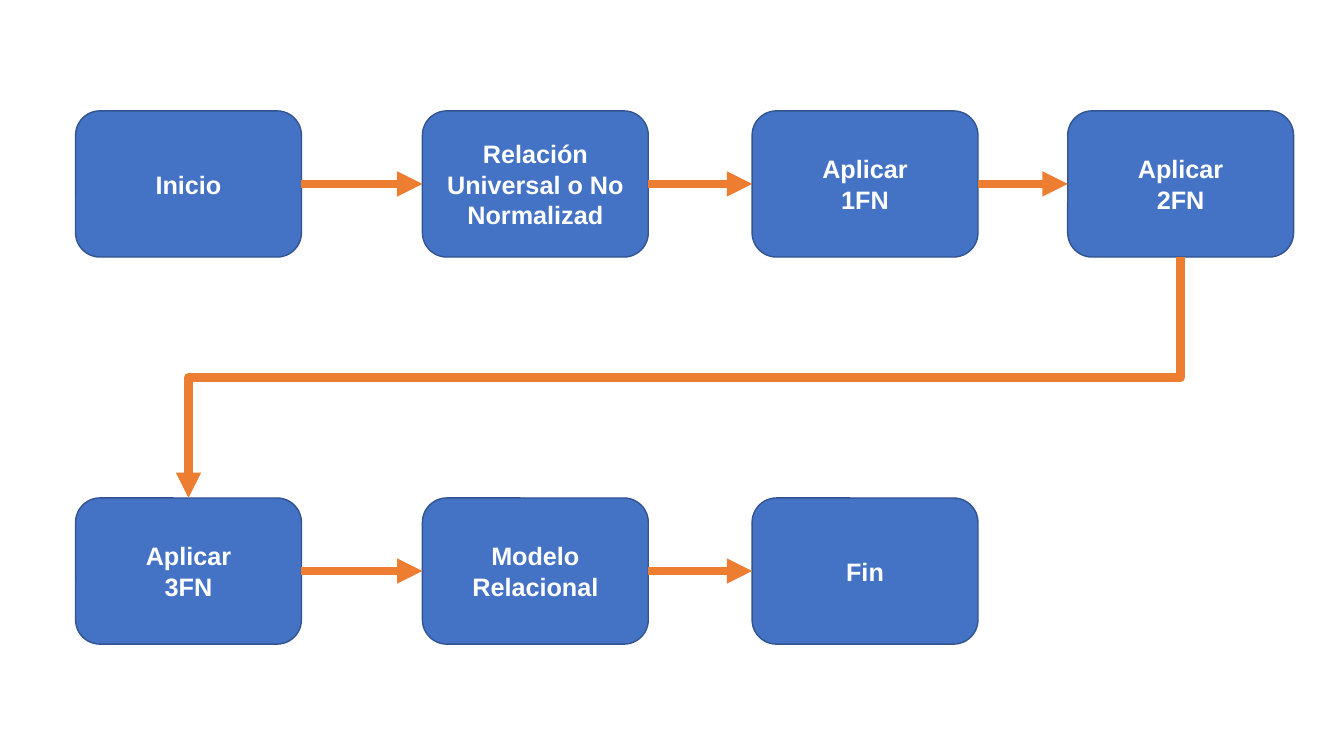
from itertools import pairwise
from typing import NamedTuple

from lxml.etree import SubElement
from pptx import Presentation
from pptx.dml.color import RGBColor
from pptx.enum.shapes import MSO_CONNECTOR, MSO_SHAPE
from pptx.enum.text import MSO_ANCHOR, PP_ALIGN
from pptx.oxml.ns import qn
from pptx.shapes.autoshape import Shape
from pptx.shapes.connector import Connector
from pptx.slide import Slide
from pptx.util import Inches, Pt

BLUE = RGBColor(0x44, 0x72, 0xC4)
DARK_BLUE = RGBColor(0x32, 0x54, 0x91)
ORANGE = RGBColor(0xED, 0x7D, 0x31)
WHITE = RGBColor(0xFF, 0xFF, 0xFF)

BOX_WIDTH, BOX_HEIGHT = Inches(2.24), Inches(1.45)
COLUMNS = [Inches(left) for left in (0.75, 4.19, 7.46, 10.59)]
ROWS = [Inches(top) for top in (1.1, 4.94)]
TOP, LEFT, BOTTOM, RIGHT = range(4)  # connection sites of a rounded rectangle


class Step(NamedTuple):
    """One step of the normalization process and its grid cell."""

    text: str
    row: int
    column: int


STEPS = [
    Step("Inicio", 0, 0),
    Step("Relación Universal o No Normalizad", 0, 1),
    Step("Aplicar\n1FN", 0, 2),
    Step("Aplicar\n2FN", 0, 3),
    Step("Aplicar\n3FN", 1, 0),
    Step("Modelo\nRelacional", 1, 1),
    Step("Fin", 1, 2),
]


def add_step(slide: Slide, step: Step) -> Shape:
    """Draw the rounded box of a step."""
    shape = slide.shapes.add_shape(
        MSO_SHAPE.ROUNDED_RECTANGLE,
        COLUMNS[step.column], ROWS[step.row], BOX_WIDTH, BOX_HEIGHT,
    )
    shape.shadow.inherit = False
    shape.fill.solid()
    shape.fill.fore_color.rgb = BLUE
    shape.line.color.rgb = DARK_BLUE
    shape.line.width = Pt(1)
    text_frame = shape.text_frame
    text_frame.word_wrap = True
    text_frame.vertical_anchor = MSO_ANCHOR.MIDDLE
    text_frame.text = step.text
    for paragraph in text_frame.paragraphs:
        paragraph.alignment = PP_ALIGN.CENTER
        paragraph.font.name = "Arial"
        paragraph.font.size = Pt(18)
        paragraph.font.bold = True
        paragraph.font.color.rgb = WHITE
    return shape


def turn_downwards(connector: Connector) -> None:
    """Turn an elbow by 90 degrees so that it leaves and arrives vertically."""
    left, top = connector.left, connector.top
    width, height = connector.width, connector.height
    connector.left = left + (width - height) // 2
    connector.top = top + (height - width) // 2
    connector.width, connector.height = height, width
    transform = connector._element.spPr.find(qn("a:xfrm"))
    transform.attrib.pop("flipH", None)
    transform.set("rot", "5400000")


def add_arrow(slide: Slide, source: Shape, target: Shape) -> None:
    """Join two steps: straight within a row, bent between rows."""
    same_row = source.top == target.top
    kind = MSO_CONNECTOR.STRAIGHT if same_row else MSO_CONNECTOR.ELBOW
    connector = slide.shapes.add_connector(kind, 0, 0, 0, 0)
    connector.begin_connect(source, RIGHT if same_row else BOTTOM)
    connector.end_connect(target, LEFT if same_row else TOP)
    if not same_row:
        turn_downwards(connector)
    connector.line.color.rgb = ORANGE
    connector.line.width = Pt(6)
    properties = connector._element.spPr
    SubElement(properties.find(qn("a:ln")), qn("a:tailEnd"), type="triangle")
    SubElement(properties, qn("a:effectLst"))


def main() -> None:
    """Build the process slide and save it."""
    presentation = Presentation()
    presentation.slide_width = Inches(13.33)
    presentation.slide_height = Inches(7.5)
    slide = presentation.slides.add_slide(presentation.slide_layouts[6])
    boxes = [add_step(slide, step) for step in STEPS]
    for source, target in pairwise(boxes):
        add_arrow(slide, source, target)
    presentation.save("out.pptx")


main()
